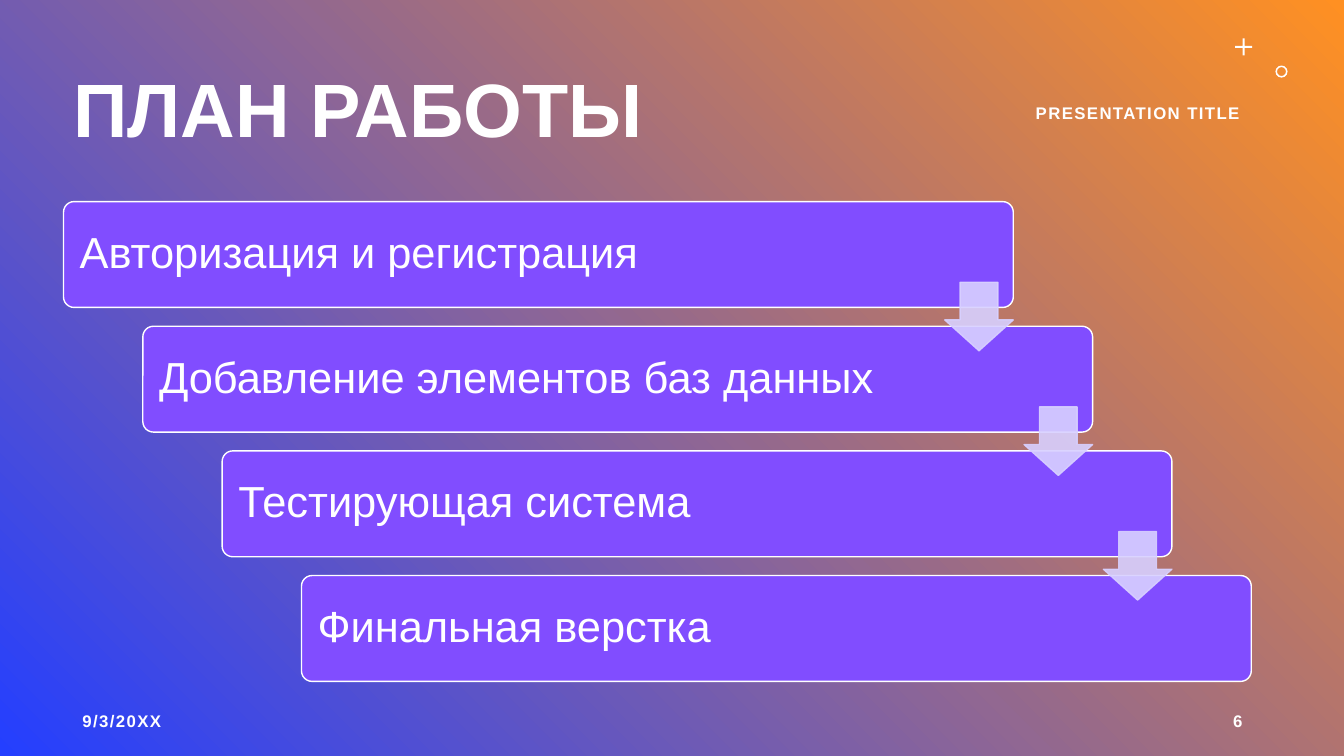
from lxml.etree import SubElement
from pptx import Presentation
from pptx.dml.color import RGBColor
from pptx.enum.shapes import MSO_SHAPE as Shape
from pptx.enum.text import MSO_ANCHOR as Anchor, PP_ALIGN as Align
from pptx.oxml.ns import qn
from pptx.util import Inches, Pt

COLORS = {"blue": "243FFF", "orange": "FF9022", "violet": "814DFF",
          "lilac": "D8D0FF", "white": "FFFFFF"}
STEPS = ["Авторизация и регистрация", "Добавление элементов баз данных",
         "Тестирующая система", "Финальная верстка"]


def color(name):
    """Return the named colour."""
    return RGBColor.from_string(COLORS[name])


def paint_background(page):
    """Fill the page with a diagonal gradient from bottom left to top right."""
    fill = page.background.fill
    fill.gradient()
    fill.gradient_angle = 45
    for stop, name in zip(fill.gradient_stops, ("blue", "orange")):
        stop.color.rgb = color(name)


def add_figure(page, kind, box, name, adjustments, outline=None):
    """Add a flat preset shape in the given box."""
    figure = page.shapes.add_shape(kind, *map(Inches, box))
    figure.shadow.inherit = False
    figure.fill.solid()
    figure.fill.fore_color.rgb = color(name)
    for index, value in enumerate(adjustments):
        figure.adjustments[index] = value
    if outline:
        figure.line.color.rgb = color(outline)
        figure.line.width = Pt(1)
    else:
        figure.line.fill.background()
    return figure


def write(shape, text, size, align=Align.LEFT, bold=False, tracking=0, spacing=1.0):
    """Write one white line, vertically centred, into the shape."""
    frame = shape.text_frame
    frame.word_wrap = True
    frame.vertical_anchor = Anchor.MIDDLE
    para = frame.paragraphs[0]
    para.alignment = align
    para.line_spacing = spacing
    para.font.name = "Arial"
    para.font.size = Pt(size)
    para.font.bold = bold
    para.font.color.rgb = color("white")
    span = para.add_run()
    span.text = text
    if tracking:
        span.font._element.set("spc", str(tracking * 100))


def add_label(page, box, text, size=12, **style):
    """Add a bold text box in the given box."""
    label = page.shapes.add_textbox(*map(Inches, box))
    write(label, text, size, bold=True, **style)


def add_ornaments(page, left, top):
    """Add the small plus and ring in the corner."""
    add_figure(page, Shape.CROSS, (left, top, 0.17, 0.17), "white", [0.44])
    add_figure(page, Shape.DONUT, (left + 0.4, top + 0.27, 0.12, 0.12), "white", [0.13])


def add_staircase(page, left, top, width, height):
    """Add the steps descending across the box, joined by arrows."""
    bar_width, bar_height, arrow_size = 9.42, 1.05, 0.68
    gaps = len(STEPS) - 1
    shift, drop = (width - bar_width) / gaps, (height - bar_height) / gaps
    corners = [(left + i * shift, top + i * drop) for i in range(len(STEPS))]
    for (x, y), text in zip(corners, STEPS):
        bar = add_figure(page, Shape.ROUNDED_RECTANGLE, (x, y, bar_width, bar_height),
                         "violet", [0.1], "white")
        bar.text_frame.margin_left = Inches(0.13)
        write(bar, text, 31, spacing=0.9)
    for x, y in corners[:-1]:
        box = (x + bar_width - arrow_size, y + 0.8, arrow_size, arrow_size)
        arrow = add_figure(page, Shape.DOWN_ARROW, box, "lilac", [0.55, 0.45], "lilac")
        for tint in arrow._element.spPr.iter(qn("a:srgbClr")):
            SubElement(tint, qn("a:alpha"), val="90000")


def add_labels(page):
    """Add the title, the header and the footer."""
    add_label(page, (0.63, 0.4, 11.78, 1.45), "ПЛАН РАБОТЫ", 54, spacing=0.9)
    add_label(page, (9.3, 0.92, 3.97, 0.4), "PRESENTATION TITLE",
              align=Align.CENTER, tracking=1)
    add_label(page, (0.72, 6.95, 3, 0.4), "9/3/20XX", tracking=1)
    add_label(page, (9.42, 6.95, 3, 0.4), "6", align=Align.RIGHT, tracking=1)


def main():
    """Build the deck and save it."""
    deck = Presentation()
    deck.slide_width, deck.slide_height = Inches(13.33), Inches(7.5)
    page = deck.slides.add_slide(deck.slide_layouts[6])
    paint_background(page)
    add_ornaments(page, 12.25, 0.38)
    add_staircase(page, 0.63, 2, 11.78, 4.76)
    add_labels(page)
    deck.save("out.pptx")


if __name__ == "__main__":
    main()
